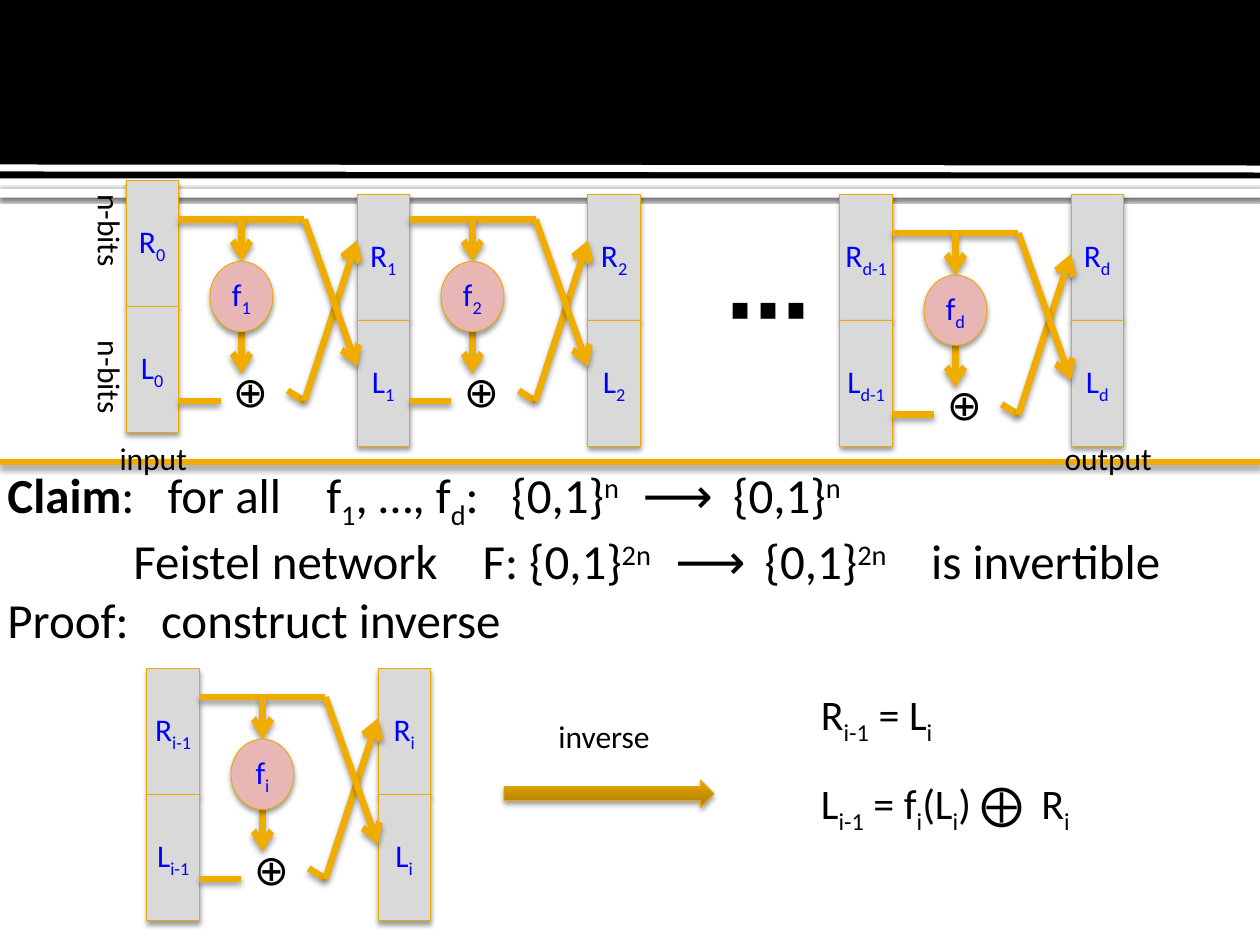
"""Draw the Feistel network slide with its claim and inverse."""
from dataclasses import dataclass
from typing import Any

import pptx
import pptx.dml.color
import pptx.enum.shapes
import pptx.enum.text
import pptx.oxml.ns
import pptx.util
from lxml import etree

COLS, ROWS = 120, 90
WIDE, HIGH = pptx.util.Inches(10), pptx.util.Inches(7.5)
KIND = pptx.enum.shapes.MSO_SHAPE
ALIGN = pptx.enum.text.PP_ALIGN
FIT = pptx.enum.text.MSO_AUTO_SIZE
MID = pptx.enum.text.MSO_ANCHOR.MIDDLE
GOLD, EDGE, GREY, ROSE = "F0AD00", "EBA900", "D9D9D9", "E8B6B5"
BLACK, WHITE, BLUE = "000000", "FFFFFF", "0000FF"
SHIFT = {"_": "-25000", "^": "30000"}
SOFT, DEEP, BAND = (38, 3.1, 2), (38, 3.5, 2), (60, 2.5, 0.8)
RAMP = ((0, "AE7D00"), (55, "CC9300"), (100, "EEAB00"))


@dataclass
class Pair:
    """A block with a right half over a left half."""
    col: float
    row: float
    tag: str


@dataclass
class Round:
    """The wires of one round, starting at a block's edge."""
    col: float
    row: float
    tag: str


@dataclass
class Note:
    """A free label that grows with its text."""
    col: float
    row: float
    wide: float
    high: float
    text: tuple[str, ...]
    size: int = 18
    turn: int = 0
    bold: bool = False


def across(col: float) -> int:
    """Turn grid columns into a length."""
    return round(WIDE * col / COLS)


def down(row: float) -> int:
    """Turn grid rows into a length."""
    return round(HIGH * row / ROWS)


def frame(col: float, row: float, wide: float, high: float) -> tuple[int, ...]:
    """Turn a grid area into slide lengths."""
    return across(col), down(row), across(wide), down(high)


def tint(code: str) -> Any:
    """Turn a hex string into a colour."""
    return pptx.dml.color.RGBColor.from_string(code)


def node(root: Any, name: str, **marks: Any) -> Any:
    """Add a drawing element with its marks."""
    return etree.SubElement(root, pptx.oxml.ns.qn(f"a:{name}"),
                            {key: str(mark) for key, mark in marks.items()})


def shade(item: Any, cast: tuple | None) -> None:
    """Give an item a soft drop shadow or none."""
    base = node(item._element.spPr, "effectLst")
    if cast:
        alpha, blur, dist = cast
        drop = node(base, "outerShdw", blurRad=round(blur * 12700),
                    dist=round(dist * 12700), dir=5400000, rotWithShape=0)
        node(node(drop, "srgbClr", val=BLACK), "alpha", val=alpha * 1000)


def write(para: Any, text: str, form: dict[str, Any], hue: str) -> None:
    """Write marked text: bars part runs, and a first sign sets style."""
    for part in filter(None, text.split("|")):
        sign = part[0] if part[0] in "_^*" else ""
        run = para.add_run()
        run.text = part[len(sign):]
        for key, value in ({"name": "Calibri"} | form).items():
            setattr(run.font, key, value)
        run.font.color.rgb = tint(hue)
        if sign == "*":
            run.font.bold = True
        elif sign:
            run.font._element.set("baseline", SHIFT[sign])


def stops(para: Any, tabs: tuple[float, ...]) -> None:
    """Set the tab stops of a paragraph in inches."""
    base = node(para._p.get_or_add_pPr(), "tabLst")
    for tab in tabs:
        node(base, "tab", pos=pptx.util.Inches(tab), algn="l")


def form(pen: Any, kind: Any, area: tuple, fill: str, edge: str = "",
         cast: tuple | None = None, text: str = "") -> Any:
    """Draw a filled shape with centred blue text."""
    item = pen.add_shape(kind, *frame(*area))
    item.shadow.inherit = False
    item._element.spPr.remove(item._element.spPr[-1])
    item.fill.solid()
    item.fill.fore_color.rgb = tint(fill)
    if edge:
        item.line.color.rgb = tint(edge)
        item.line.width = pptx.util.Pt(0.5)
    else:
        item.line.fill.background()
    shade(item, cast)
    if text:
        body = item.text_frame
        for key, value in {"margin_left": 0, "margin_right": 0, "word_wrap": True,
                           "vertical_anchor": MID}.items():
            setattr(body, key, value)
        body.paragraphs[0].alignment = ALIGN.CENTER
        write(body.paragraphs[0], text, {"size": pptx.util.Pt(18)}, BLUE)
    return item


def wire(pen: Any, ends: tuple, head: bool = False, hue: str = GOLD,
         width: float = 3.78, cast: tuple | None = DEEP) -> None:
    """Draw a straight line, with an arrowhead if asked."""
    left, top, right, low = ends
    line = pen.add_connector(pptx.enum.shapes.MSO_CONNECTOR.STRAIGHT,
                             across(left), down(top), across(right), down(low))
    line.line.color.rgb = tint(hue)
    line.line.width = pptx.util.Pt(width)
    if head:
        node(line.line._get_or_add_ln(), "tailEnd", type="arrow")
    shade(line, cast)


def label(pen: Any, note: Note) -> Any:
    """Draw a free label and return its text frame."""
    box = pen.add_textbox(*frame(note.col, note.row, note.wide, note.high))
    box.rotation = note.turn
    body = box.text_frame
    body.word_wrap = False
    body.auto_size = FIT.SHAPE_TO_FIT_TEXT
    for place, text in enumerate(note.text):
        para = body.add_paragraph() if place else body.paragraphs[0]
        write(para, text, {"size": pptx.util.Pt(note.size), "bold": note.bold}, BLACK)
    return body


def stack(pen: Any, pair: Pair) -> None:
    """Draw both halves of a block."""
    for step, half in enumerate("RL"):
        form(pen, KIND.RECTANGLE, (pair.col, pair.row + 12 * step, 5, 12),
             GREY, EDGE, SOFT, f"{half}|_{pair.tag}")


def weave(pen: Any, turn: Round) -> None:
    """Draw the wires, function and sum of a round."""
    col, row = turn.col, turn.row
    label(pen, Note(col + 4, row + 13.3, 6.5, 6, ("⊕",), 24))
    for left, top, right, low, head in (
            (0, 0, 12, 0, False), (0, 17.3, 4, 17.3, False),
            (10.4, 16.3, 12, 17.3, False), (12, 17.3, 17, 2, True),
            (12, 0, 17, 14, True), (6, 0, 6, 4, True), (6, 10.7, 6, 14.7, True)):
        wire(pen, (col + left, row + top, col + right, row + low), head)
    form(pen, KIND.OVAL, (col + 3, row + 4, 6, 6.7), ROSE, EDGE, SOFT, f"f|_{turn.tag}")


def claim(pen: Any) -> None:
    """Write the claim and the start of its proof."""
    body = pen.add_textbox(*frame(0, 43, 120, 24)).text_frame
    body.word_wrap = True
    body.margin_left = pptx.util.Inches(0.06)
    body.margin_top = pptx.util.Inches(0.1)
    for place, (text, tabs) in enumerate((
            ("*Claim|:\tfor all\tf|_1|, …, f|_d|:\t{0,1}|^n|\t⟶\t{0,1}|^n",
             (1.27, 2.53, 4, 5.04, 5.76)),
            ("\tFeistel network\tF: {0,1}|^2n|\t⟶\t{0,1}|^2n|\tis invertible",
             (1, 3.77, 5.3, 6.01, 7.33)),
            ("Proof:\tconstruct inverse", (1.22,)))):
        para = body.add_paragraph() if place else body.paragraphs[0]
        stops(para, tabs)
        write(para, text, {"size": pptx.util.Pt(28)}, BLACK)


def arrow(pen: Any) -> None:
    """Draw the shaded arrow and its label."""
    item = form(pen, KIND.RIGHT_ARROW, (48, 74.3, 20, 2.6), GOLD, EDGE, SOFT)
    item.fill.gradient()
    item.fill.gradient_angle = 90
    base = item._element.spPr.find(".//" + pptx.oxml.ns.qn("a:gsLst"))
    for old in list(base):
        base.remove(old)
    for share, hue in RAMP:
        node(node(base, "gs", pos=share * 1000), "srgbClr", val=hue)
    label(pen, Note(52, 67.7, 11.4, 4.8, ("inverse",)))


def main() -> None:
    """Build and save the slide."""
    deck = pptx.Presentation()
    deck.slide_width, deck.slide_height = WIDE, HIGH
    pen = deck.slides.add_slide(deck.slide_layouts[6]).shapes
    form(pen, KIND.RECTANGLE, (0, 18, 120, 0.84), WHITE, cast=BAND)
    form(pen, KIND.RECTANGLE, (0, 0, 120, 17), BLACK)
    wire(pen, (0, 16, 120, 16.1), hue=WHITE, width=4, cast=None)
    claim(pen)
    for pair in (Pair(14, 63.7, "i-1"), Pair(36, 63.7, "i")):
        stack(pen, pair)
    weave(pen, Round(19, 66.4, "i"))
    arrow(pen.add_group_shape().shapes)
    wire(pen, (0, 44, 120, 44))
    rule = label(pen, Note(77, 65, 27, 13.9, (
        "R|_i-1| = L|_i", "L|_i-1| = f|_i|(L|_i|) ⨁\tR|_i"), 24))
    rule.paragraphs[1].space_before = pptx.util.Pt(18)
    stops(rule.paragraphs[1], (1.75,))
    net = pen.add_group_shape().shapes
    for pair in (Pair(80, 18.5, "d-1"), Pair(102, 18.5, "d"), Pair(12, 17.2, "0"),
                 Pair(34, 18.5, "1"), Pair(56, 18.5, "2")):
        stack(net, pair)
    for turn in (Round(17, 20.9, "1"), Round(39, 20.9, "2"), Round(85, 22.2, "d")):
        weave(net, turn)
    for note in (Note(10.2, 41.2, 9, 4.8, ("input",)),
                 Note(100.2, 41.2, 10.9, 4.8, ("output",)),
                 Note(5.7, 19.7, 9.6, 4.8, ("n-bits",), turn=90),
                 Note(5.7, 33.7, 9.6, 4.8, ("n-bits",), turn=90),
                 Note(68, 23.8, 9.2, 10.9, ("⋯",), 48, bold=True)):
        label(net, note)
    deck.save("out.pptx")


if __name__ == "__main__":
    main()
